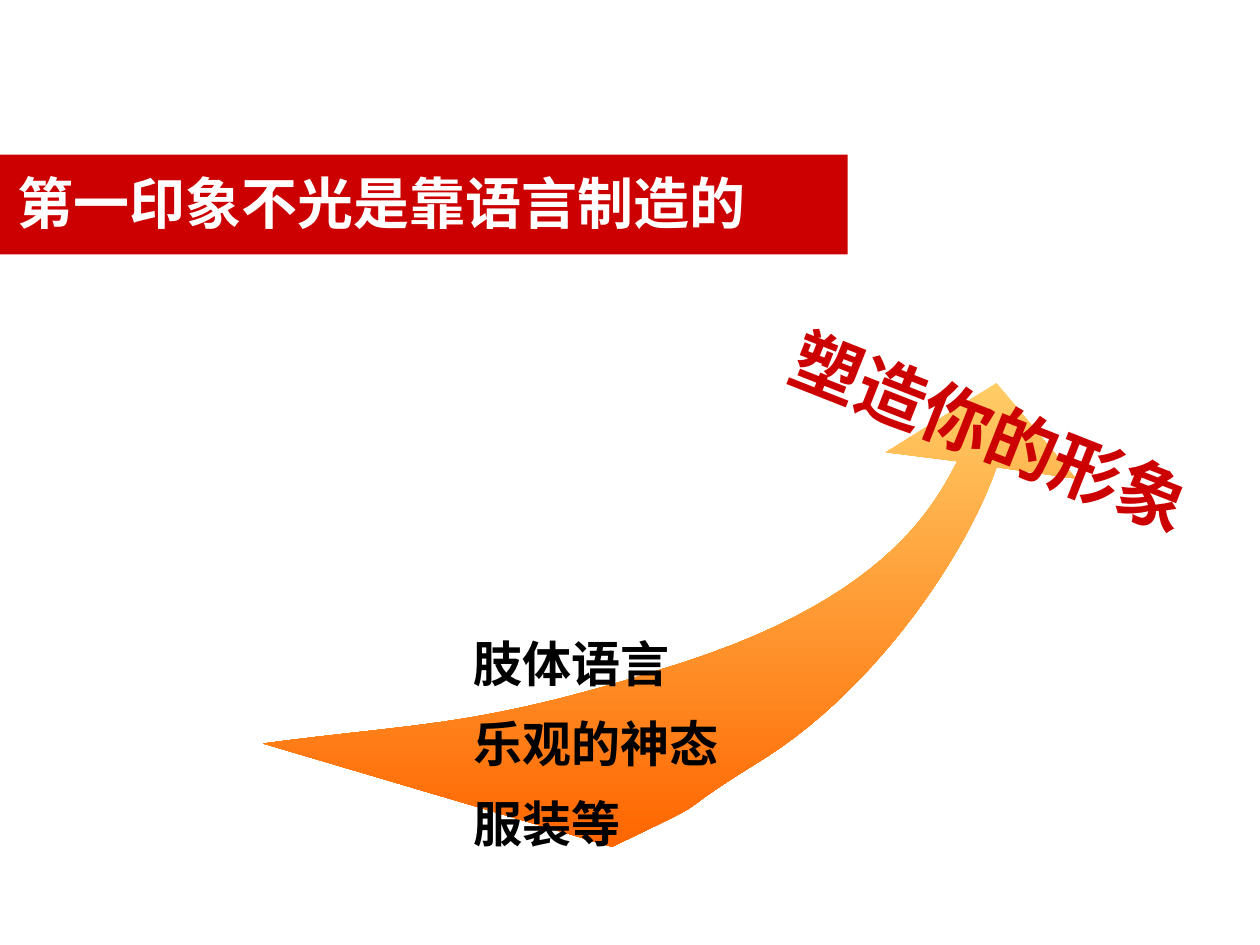
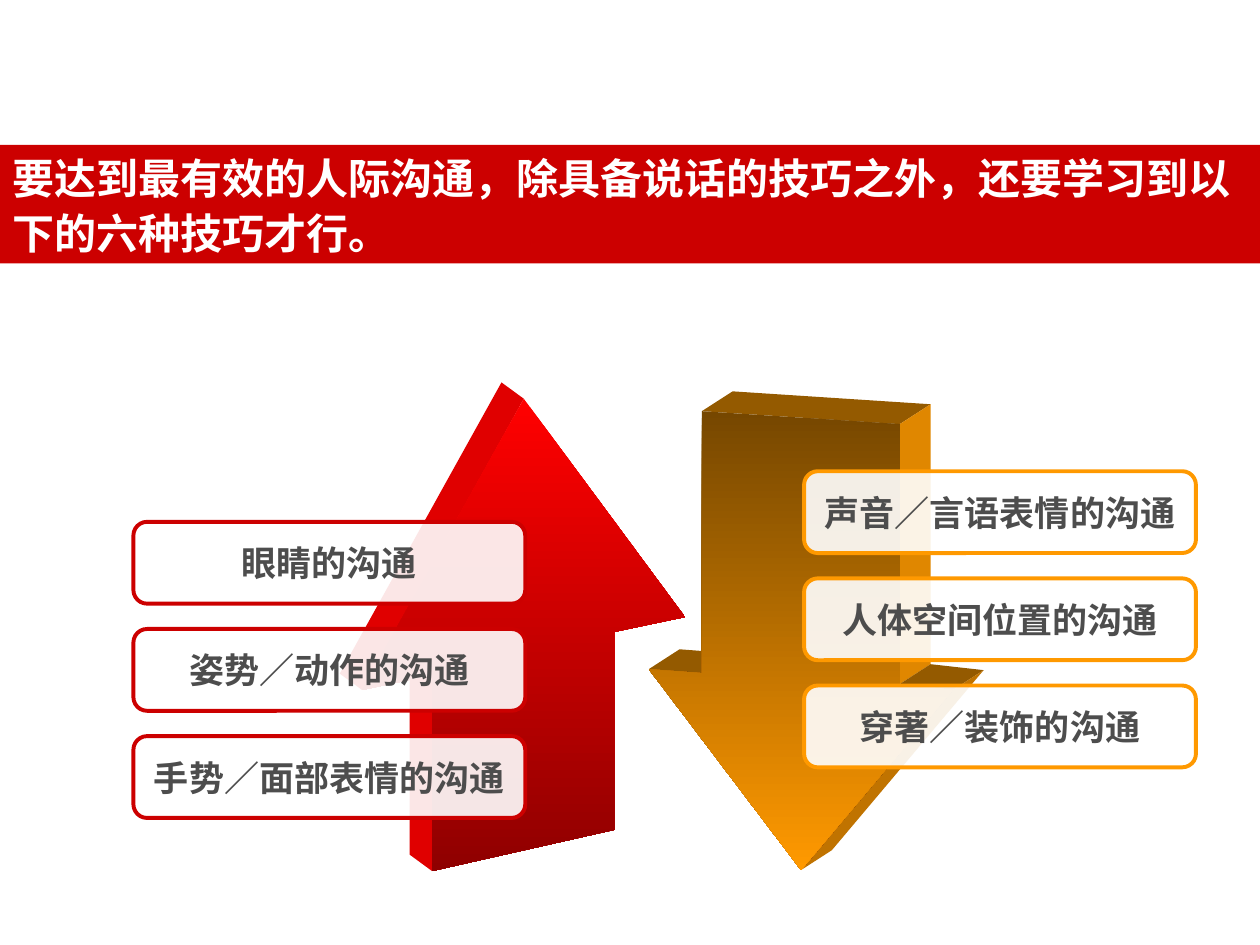
import pptx
import pptx.dml.color
import pptx.enum.shapes
import pptx.enum.text
import pptx.oxml.ns
import pptx.util
from lxml import etree

Cm = pptx.util.Cm
RGBColor = pptx.dml.color.RGBColor
SHAPE = pptx.enum.shapes.MSO_SHAPE
ALIGN = pptx.enum.text.PP_ALIGN
ANCHOR = pptx.enum.text.MSO_ANCHOR
qn = pptx.oxml.ns.qn

# Shared colours and fonts
RED = RGBColor(0xCC, 0x00, 0x00)
ORANGE = RGBColor(0xFF, 0x99, 0x00)
WHITE = RGBColor(0xFF, 0xFF, 0xFF)
BLACK = RGBColor(0x00, 0x00, 0x00)
GREY = RGBColor(0x4D, 0x4D, 0x4D)
SWOOSH_TOP = RGBColor(0xFF, 0xCC, 0x66)
SWOOSH_BOTTOM = RGBColor(0xFF, 0x66, 0x00)
BRIGHT_RED = RGBColor(0xFF, 0x00, 0x00)
DARK_RED = RGBColor(0x8F, 0x00, 0x00)
SIDE_RED = RGBColor(0xE0, 0x00, 0x00)
DARK_BROWN = RGBColor(0x76, 0x47, 0x00)
TOP_BROWN = RGBColor(0x94, 0x5A, 0x00)
SIDE_ORANGE = RGBColor(0xE0, 0x87, 0x00)
UNDER_ORANGE = RGBColor(0xC0, 0x73, 0x00)
HEAD_FONT = "Noto Sans CJK SC"
BODY_FONT = "Arial"


def write(tf, text, size=20, color=GREY, font=HEAD_FONT, align=ALIGN.LEFT,
          anchor=ANCHOR.TOP, wrap=False, spacing=None):
    """Put one bold paragraph in a text frame."""
    tf.word_wrap = wrap
    tf.vertical_anchor = anchor
    p = tf.paragraphs[0]
    p.alignment = align
    if spacing:
        p.line_spacing = spacing
    r = p.add_run()
    r.text = text
    r.font.size = pptx.util.Pt(size)
    r.font.bold = True
    r.font.color.rgb = color
    r.font.name = font
    if font == HEAD_FONT:
        ea = etree.SubElement(r.font._element, qn("a:ea"))
        ea.set("typeface", font)


def add_text(s, text, x, y, w, h, rotation=0, **fmt):
    sp = s.shapes.add_textbox(Cm(x), Cm(y), Cm(w), Cm(h))
    sp.rotation = rotation
    write(sp.text_frame, text, **fmt)


def add_band(s, y, w, h):
    """Red title band from the left edge."""
    sp = s.shapes.add_shape(SHAPE.RECTANGLE, 0, Cm(y), Cm(w), Cm(h))
    sp.shadow.inherit = False
    sp.fill.solid()
    sp.fill.fore_color.rgb = RED
    sp.line.fill.background()


def add_polygon(s, points, *colors):
    """Closed outline with a plain fill or a fill shading downwards."""
    corners = [(Cm(x), Cm(y)) for x, y in points]
    builder = s.shapes.build_freeform(*corners[0])
    builder.add_line_segments(corners[1:])
    sp = builder.convert_to_shape()
    sp.shadow.inherit = False
    sp.line.fill.background()
    if len(colors) == 1:
        sp.fill.solid()
        sp.fill.fore_color.rgb = colors[0]
        return
    sp.fill.gradient()
    sp.fill.gradient_angle = 270
    for stop, color, place in zip(sp.fill.gradient_stops, colors, (0, 1)):
        stop.color.rgb = color
        stop.position = place


def bezier(a, b, c, d, steps=24):
    """Points along a cubic curve, without its start."""
    points = []
    for i in range(1, steps + 1):
        t = i / steps
        u = 1 - t
        points.append(tuple(
            u**3 * k + 3 * u * u * t * m + 3 * u * t * t * n + t**3 * q
            for k, m, n, q in zip(a, b, c, d)))
    return points


def add_swoosh(s):
    tail, bend, neck = (5.31, 14.99), (13.82, 13.34), (19.3, 9.3)
    inner_neck, belly = (20.09, 9.42), (15.44, 15.27)
    points = [tail]
    points += bezier(tail, (8.61, 14.55), (9.68, 14.68), bend)
    points += bezier(bend, (17.96, 11.99), (18.87, 10.11), neck)
    points += [(17.86, 9.12), (20.09, 7.72), (21.69, 9.65), inner_neck]
    points += bezier(inner_neck, (19.53, 11.07), (17.75, 13.79), belly)
    points += bezier(belly, (13.11, 16.71), (14.81, 15.88), (12.34, 17.07))
    add_polygon(s, points, SWOOSH_TOP, SWOOSH_BOTTOM)


def add_solid_arrow(s, front, depth, sides, *colors):
    """Arrow with depth: sides maps the start corner of an edge to a colour."""
    dx, dy = depth
    for i, color in sides.items():
        a, b = front[i], front[(i + 1) % len(front)]
        back = [(x + dx, y + dy) for x, y in (b, a)]
        add_polygon(s, [a, b] + back, color)
    add_polygon(s, front, *colors)


def add_labels(s, x, top, color, texts):
    """Column of rounded labels at an equal pitch."""
    for i, text in enumerate(texts):
        sp = s.shapes.add_shape(SHAPE.ROUNDED_RECTANGLE, Cm(x),
                                Cm(top + i * 2.16), Cm(7.9), Cm(1.65))
        sp.shadow.inherit = False
        sp.fill.solid()
        sp.fill.fore_color.rgb = WHITE
        fill = sp._element.spPr.find(qn("a:solidFill"))
        etree.SubElement(fill[0], qn("a:alpha")).set("val", "90000")
        sp.line.color.rgb = color
        sp.line.width = pptx.util.Pt(2.25)
        write(sp.text_frame, text, align=ALIGN.CENTER, anchor=ANCHOR.MIDDLE)


def build_impression(s):
    add_swoosh(s)
    for i, text in enumerate(["肢体语言", "乐观的神态", "服装等"]):
        add_text(s, text, 9.3, 12.65 + i * 1.61, 5.46, 1.45,
                 size=28, color=BLACK, font=BODY_FONT)
    add_text(s, "塑造你的形象", 15.49, 7.72, 9.02, 1.96, rotation=21.5,
             size=40, color=RED, font=BODY_FONT)
    add_band(s, 3.12, 17.09, 2.01)
    add_text(s, "第一印象不光是靠语言制造的", 0.1, 3, 16.99, 2.13,
             size=32, color=WHITE, anchor=ANCHOR.MIDDLE, wrap=True)


def build_skills(s):
    add_band(s, 2.92, 25.4, 2.39)
    # Rising arrow and its labels
    up = [(10.56, 8.04), (13.81, 12.44), (12.38, 12.74), (12.38, 16.73),
          (8.71, 17.56), (8.71, 13.61), (7.3, 13.91)]
    add_solid_arrow(s, up, (-0.45, -0.33), {4: SIDE_RED, 6: SIDE_RED},
                    BRIGHT_RED, DARK_RED)
    add_labels(s, 2.69, 10.52, RED,
               ["眼睛的沟通", "姿势／动作的沟通", "手势／面部表情的沟通"])
    # Falling arrow and its labels
    down = [(14.15, 8.29), (18.14, 8.55), (18.14, 13.79), (19.21, 13.91),
            (16.15, 17.54), (13.08, 13.49), (14.15, 13.57)]
    sides = {0: TOP_BROWN, 1: SIDE_ORANGE, 2: TOP_BROWN, 3: UNDER_ORANGE,
             5: TOP_BROWN}
    add_solid_arrow(s, down, (0.62, -0.4), sides, DARK_BROWN, ORANGE)
    add_labels(s, 16.21, 9.5, ORANGE,
               ["声音／言语表情的沟通", "人体空间位置的沟通", "穿著／装饰的沟通"])
    add_text(s, "要达到最有效的人际沟通，除具备说话的技巧之外，"
             "还要学习到以下的六种技巧才行。", 0, 2.84, 25.4, 2.49,
             size=24, color=WHITE, wrap=True, spacing=1.1)


def main():
    prs = pptx.Presentation()
    prs.slide_width, prs.slide_height = Cm(25.4), Cm(19.05)
    for build in (build_impression, build_skills):
        build(prs.slides.add_slide(prs.slide_layouts[6]))
    prs.save("out.pptx")


if __name__ == "__main__":
    main()
